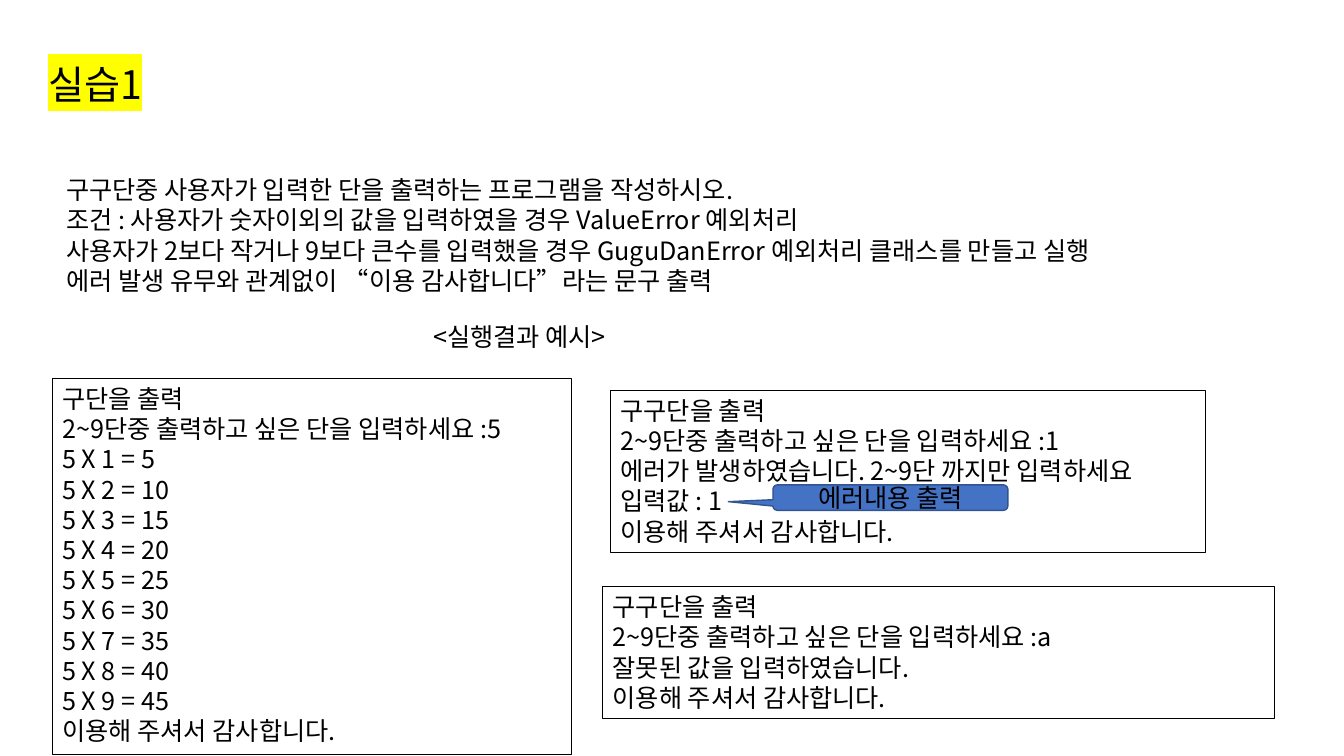
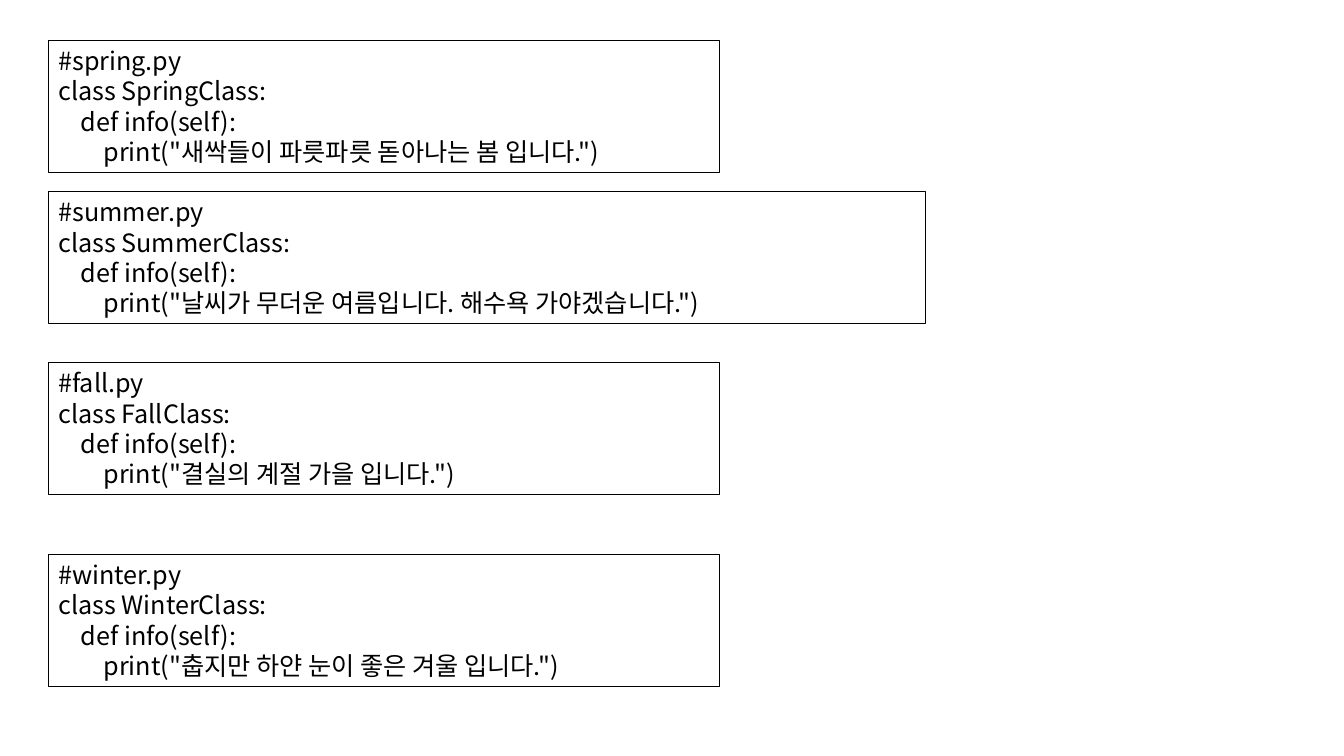
"""Build two slides: a times-table exercise and four season modules."""
from dataclasses import dataclass

from lxml import etree
from pptx import Presentation
from pptx import util as u
from pptx.dml.color import RGBColor
from pptx.enum import shapes, text
from pptx.oxml.ns import qn

FONT = "Noto Sans CJK KR"
BLACK, YELLOW, BLUE, NAVY = "000000", "FFFF00", "4472C4", "325491"
BODY_SIZE, TITLE_SIZE = 18, 28
INDENT = 0.57
LINE_HEIGHT, PADDING = 0.77, 0.25
THANKS = "이용해 주셔서 감사합니다."


@dataclass(frozen=True)
class Line:
    content: str
    level: int = 0


@dataclass(frozen=True)
class TextBlock:
    left: float
    top: float
    width: float
    lines: tuple[Line, ...]
    framed: bool = True


@dataclass(frozen=True)
class Season:
    name: str
    message: str
    top: float
    width: float = 16.92


def colour(value: str) -> RGBColor:
    return RGBColor.from_string(value)


def as_lines(*contents: str) -> tuple[Line, ...]:
    return tuple(Line(content) for content in contents)


def prompt(answer: str) -> str:
    return f"2~9단중 출력하고 싶은 단을 입력하세요 :{answer}"


def add_run(paragraph, content: str, size: int = BODY_SIZE, highlight: str = "") -> None:
    run = paragraph.add_run()
    run.text = content
    run.font.size = u.Pt(size)
    run.font.color.rgb = colour(BLACK)
    run.font.name = FONT
    latin = run.font._element.find(qn("a:latin"))
    east_asian = etree.Element(qn("a:ea"), typeface=FONT)
    latin.addnext(east_asian)
    if highlight:
        marker = etree.Element(qn("a:highlight"))
        etree.SubElement(marker, qn("a:srgbClr"), val=highlight)
        latin.addprevious(marker)


def add_text_block(slide, block: TextBlock) -> None:
    height = len(block.lines) * LINE_HEIGHT + PADDING
    shape = slide.shapes.add_textbox(
        u.Cm(block.left), u.Cm(block.top), u.Cm(block.width), u.Cm(height))
    if block.framed:
        shape.line.color.rgb = colour(BLACK)
        shape.line.width = u.Pt(0.75)
    frame = shape.text_frame
    frame.word_wrap = True
    frame.auto_size = text.MSO_AUTO_SIZE.SHAPE_TO_FIT_TEXT
    for index, line in enumerate(block.lines):
        paragraph = frame.add_paragraph() if index else frame.paragraphs[0]
        if line.level:
            properties = paragraph._p.get_or_add_pPr()
            properties.set("marL", str(u.Cm(INDENT * line.level)))
        add_run(paragraph, line.content)


def add_title(slide, content: str) -> None:
    shape = slide.shapes.add_textbox(u.Cm(0.97), u.Cm(1.17), u.Cm(3.61), u.Cm(1.68))
    frame = shape.text_frame
    frame.word_wrap = True
    frame.vertical_anchor = text.MSO_ANCHOR.BOTTOM
    paragraph = frame.paragraphs[0]
    paragraph.line_spacing = 0.9
    add_run(paragraph, content, TITLE_SIZE, YELLOW)


def add_callout(slide, content: str) -> None:
    shape = slide.shapes.add_shape(
        shapes.MSO_SHAPE.ROUNDED_RECTANGULAR_CALLOUT,
        u.Cm(19.48), u.Cm(12.22), u.Cm(5.92), u.Cm(0.64))
    for index, value in enumerate((-0.688, 0.163, 0.167)):
        shape.adjustments[index] = round(value, 2)
    shape.shadow.inherit = False
    shape.fill.solid()
    shape.fill.fore_color.rgb = colour(BLUE)
    shape.line.color.rgb = colour(NAVY)
    shape.line.width = u.Pt(1)
    frame = shape.text_frame
    frame.word_wrap = True
    frame.vertical_anchor = text.MSO_ANCHOR.MIDDLE
    paragraph = frame.paragraphs[0]
    paragraph.alignment = text.PP_ALIGN.CENTER
    add_run(paragraph, content)


def build_exercise(slide) -> None:
    add_title(slide, "실습1")
    table = [f"5 X {factor} = {5 * factor}" for factor in range(1, 10)]
    blocks = (
        TextBlock(1.42, 4.27, 30.68, as_lines(
            "구구단중 사용자가 입력한 단을 출력하는 프로그램을 작성하시오.",
            "조건 : 사용자가 숫자이외의 값을 입력하였을 경우 ValueError 예외처리",
            "사용자가 2보다 작거나 9보다 큰수를 입력했을 경우 GuguDanError 예외처리 클래스를 만들고 실행",
            "에러 발생 유무와 관계없이 “이용 감사합니다”라는 문구 출력"), framed=False),
        TextBlock(10.67, 7.98, 9.98, as_lines("<실행결과 예시>"), framed=False),
        TextBlock(1.32, 9.53, 13.08, as_lines("구단을 출력", prompt("5"), *table, THANKS)),
        TextBlock(15.39, 9.83, 14.99, as_lines(
            "구구단을 출력", prompt("1"),
            "에러가 발생하였습니다. 2~9단 까지만 입력하세요", "입력값 : 1", THANKS)),
        TextBlock(15.19, 14.78, 16.94, as_lines(
            "구구단을 출력", prompt("a"), "잘못된 값을 입력하였습니다.", THANKS)),
    )
    for block in blocks:
        add_text_block(slide, block)
    add_callout(slide, "에러내용 출력")


def build_seasons(slide) -> None:
    seasons = (
        Season("spring", "새싹들이 파릇파릇 돋아나는 봄 입니다.", 1.02),
        Season("summer", "날씨가 무더운 여름입니다. 해수욕 가야겠습니다.", 4.83, 22.1),
        Season("fall", "결실의 계절 가을 입니다.", 9.14),
        Season("winter", "춥지만 하얀 눈이 좋은 겨울 입니다.", 13.97),
    )
    for season in seasons:
        lines = (
            Line(f"#{season.name}.py"),
            Line(f"class {season.name.title()}Class:"),
            Line("def info(self):", 1),
            Line(f'print("{season.message}")', 2),
        )
        add_text_block(slide, TextBlock(1.22, season.top, season.width, lines))


def main() -> None:
    presentation = Presentation()
    presentation.slide_width = u.Cm(33.87)
    presentation.slide_height = u.Cm(19.05)
    blank = presentation.slide_layouts[6]
    for build in (build_exercise, build_seasons):
        build(presentation.slides.add_slide(blank))
    presentation.save("out.pptx")


if __name__ == "__main__":
    main()
